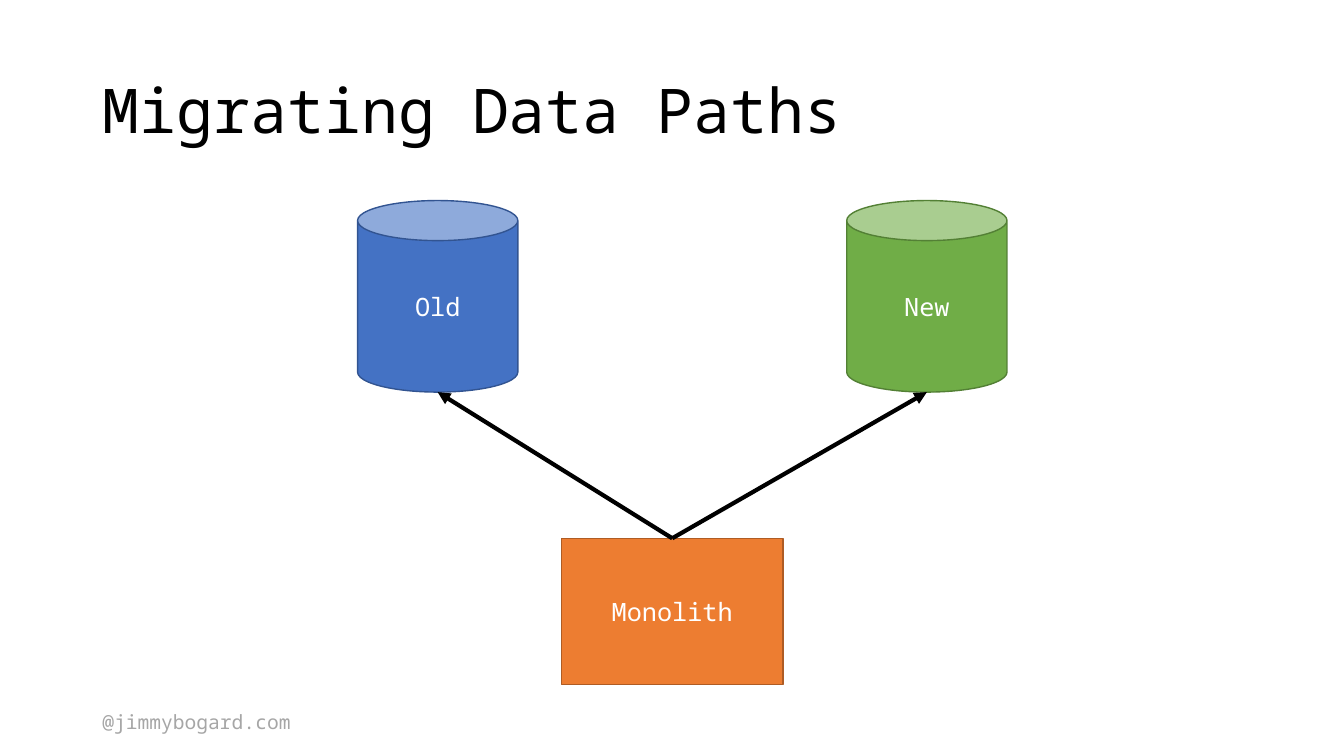
import pptx
import pptx.util
import pptx.dml.color
import pptx.enum.shapes
import pptx.enum.text
import pptx.oxml
import pptx.oxml.ns

Pt = pptx.util.Pt
MSO_SHAPE = pptx.enum.shapes.MSO_SHAPE
ALIGN = pptx.enum.text.PP_ALIGN
ANCHOR = pptx.enum.text.MSO_ANCHOR
COLORS = {
    "black": "000000", "white": "FFFFFF", "gray": "A6A6A6",
    "blue": "4472C4", "blue line": "325491",
    "green": "70AD47", "green line": "538035",
    "orange": "ED7D31", "orange line": "AF5C24",
}


def rgb(name):
    return pptx.dml.color.RGBColor.from_string(COLORS[name])


def write_text(shape, text, size, color, align, anchor):
    frame = shape.text_frame
    frame.word_wrap = True
    frame.vertical_anchor = anchor
    paragraph = frame.paragraphs[0]
    paragraph.text = text
    paragraph.alignment = align
    font = paragraph.runs[0].font
    for name, value in {"name": "Noto Sans Mono", "size": Pt(size)}.items():
        setattr(font, name, value)
    font.color.rgb = rgb(color)
    return paragraph


presentation = pptx.Presentation()
presentation.slide_width = Pt(960)
presentation.slide_height = Pt(540)
slide = presentation.slides.add_slide(presentation.slide_layouts[5])

title = slide.shapes.title
title_box = {"left": 66, "top": 28.8, "width": 828, "height": 104.4}
for side, length in title_box.items():
    setattr(title, side, Pt(length))
heading = write_text(title, "Migrating Data Paths", 44, "black", ALIGN.LEFT, ANCHOR.MIDDLE)
heading.line_spacing = 0.9

handle = slide.shapes.add_textbox(Pt(66), Pt(503.3), Pt(205), Pt(24.5))
write_text(handle, "@jimmybogard.com", 14, "gray", ALIGN.LEFT, ANCHOR.TOP)

nodes = {}
for label, preset, color, left, top, width, height in [
    ("Old", MSO_SHAPE.CAN, "blue", 255.4, 143.3, 114.5, 136.8),
    ("New", MSO_SHAPE.CAN, "green", 604.8, 143.3, 114.5, 136.8),
    ("Monolith", MSO_SHAPE.RECTANGLE, "orange", 401, 384.5, 158.4, 104.4),
]:
    node = slide.shapes.add_shape(preset, Pt(left), Pt(top), Pt(width), Pt(height))
    node.shadow.inherit = False
    node.fill.solid()
    node.fill.fore_color.rgb = rgb(color)
    node.line.color.rgb = rgb(color + " line")
    node.line.width = Pt(1)
    write_text(node, label, 18, "white", ALIGN.CENTER, ANCHOR.MIDDLE)
    nodes[label] = node

for label in ("Old", "New"):
    database = nodes[label]
    arrow = slide.shapes.add_connector(
        pptx.enum.shapes.MSO_CONNECTOR.STRAIGHT, 0, 0,
        database.left + database.width // 2, database.top + database.height)
    arrow.begin_connect(nodes["Monolith"], 0)
    arrow.line.color.rgb = rgb("black")
    arrow.line.width = Pt(3)
    line = arrow.line._get_or_add_ln()
    head = pptx.oxml.parse_xml(
        f'<a:tailEnd {pptx.oxml.ns.nsdecls("a")} type="triangle"/>')
    line.append(head)
    effects = pptx.oxml.parse_xml(f'<a:effectLst {pptx.oxml.ns.nsdecls("a")}/>')
    line.addnext(effects)

presentation.save("out.pptx")
